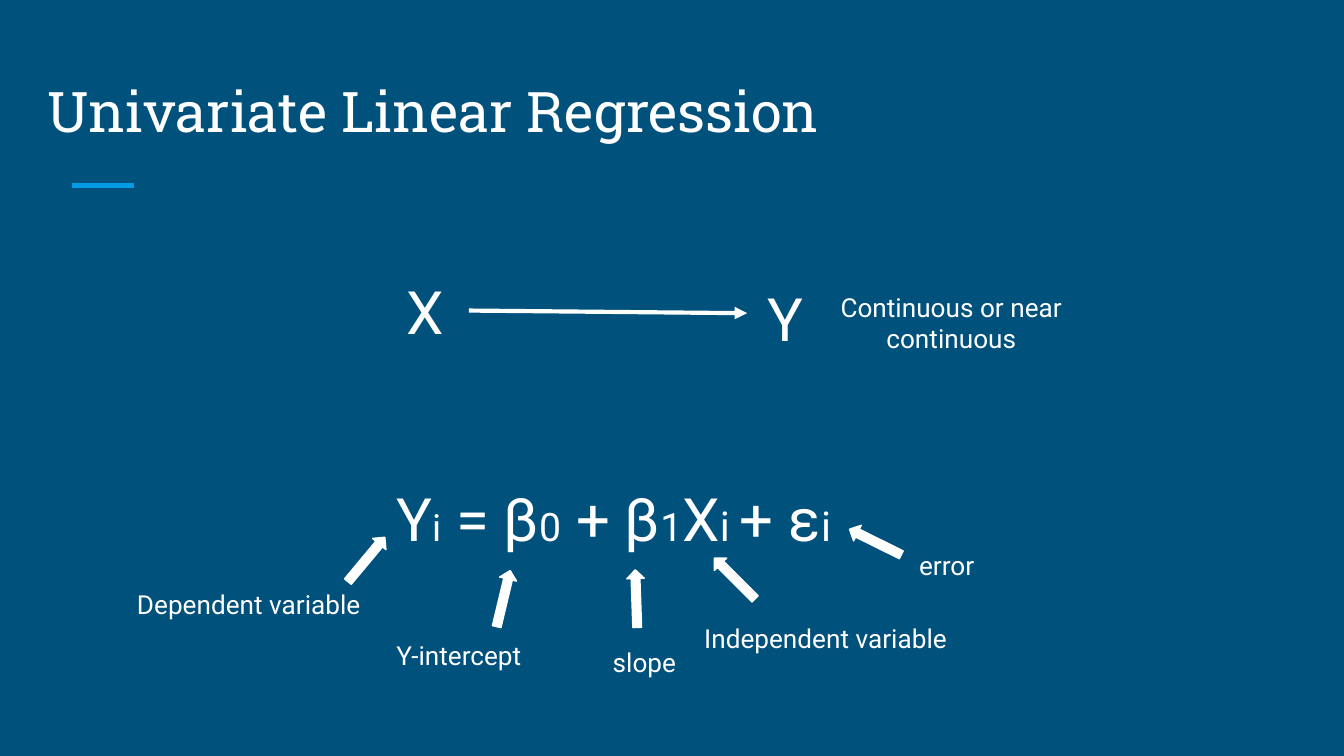
from typing import NamedTuple

from lxml import etree
from pptx import Presentation
from pptx.dml.color import RGBColor
from pptx.enum.shapes import MSO_CONNECTOR, MSO_SHAPE
from pptx.enum.text import MSO_ANCHOR, MSO_AUTO_SIZE, PP_ALIGN
from pptx.oxml.ns import qn
from pptx.util import Cm, Pt

NAVY = RGBColor(0x00, 0x51, 0x7C)
SKY = RGBColor(0x03, 0x9B, 0xE5)
WHITE = RGBColor(0xFF, 0xFF, 0xFF)
BODY_FONT = "Roboto"
TITLE_FONT = "Roboto Slab"
STRAIGHT = MSO_CONNECTOR.STRAIGHT
RIGHT_ARROW = MSO_SHAPE.RIGHT_ARROW
LEFT = PP_ALIGN.LEFT
CENTER = PP_ALIGN.CENTER
BOTTOM = MSO_ANCHOR.BOTTOM
NO_AUTOFIT = MSO_AUTO_SIZE.NONE
FIT_SHAPE = MSO_AUTO_SIZE.SHAPE_TO_FIT_TEXT

PADDING = 0.25
LARGE, SMALL = 32, 14


class Area(NamedTuple):
    """Position and size in centimetres."""
    left: float
    top: float
    width: float
    height: float


class Term(NamedTuple):
    """One explained term: its label and the arrow to the equation."""
    label: str
    label_left: float
    label_top: float
    arrow_left: float
    arrow_top: float
    angle: float


EQUATION = [("Y", LARGE), ("i", 20), (" = β", LARGE), ("0", 21), (" + β", LARGE),
            ("1", 21), ("X", LARGE), ("i ", 22), ("+ ε", LARGE), ("i", 22)]

TERMS = [
    Term("Dependent variable", 2.34, 10.87, 6.38, 10.41, 309.8),
    Term("Y-intercept", 7.24, 11.84, 8.97, 11.15, 283.5),
    Term("slope", 11.33, 11.96, 11.48, 11.15, 268),
    Term("Independent variable", 13.06, 11.51, 13.34, 10.77, 225),
    Term("error", 17.12, 10.13, 16, 10.08, 206.3),
]


def set_padding(frame) -> None:
    frame.margin_left = frame.margin_right = Cm(PADDING)
    frame.margin_top = frame.margin_bottom = Cm(PADDING)


def add_text(shapes, area: Area, spans: list[tuple[str, float]], align=LEFT) -> None:
    box = shapes.add_textbox(*map(Cm, area))
    frame = box.text_frame
    frame.word_wrap = True
    frame.auto_size = FIT_SHAPE
    set_padding(frame)
    para = frame.paragraphs[0]
    para.alignment = align
    para.font.name = BODY_FONT
    para.font.color.rgb = WHITE
    for text, size in spans:
        span = para.add_run()
        span.text = text
        span.font.size = Pt(size)


def add_line(shapes, start: tuple[float, float], end: tuple[float, float],
             color: RGBColor, width: float, arrow: bool = False) -> None:
    line = shapes.add_connector(STRAIGHT, *map(Cm, start + end))
    line.line.color.rgb = color
    line.line.width = Pt(width)
    if arrow:
        outline = line.line._get_or_add_ln()
        etree.SubElement(outline, qn("a:tailEnd"), type="triangle")
    etree.SubElement(line._element.spPr, qn("a:effectLst"))


def add_term(shapes, term: Term) -> None:
    add_text(shapes, Area(term.label_left, term.label_top, 7.39, 1.12),
             [(term.label, SMALL)])
    arrow = shapes.add_shape(RIGHT_ARROW, Cm(term.arrow_left), Cm(term.arrow_top),
                             Cm(1.09), Cm(0.33))
    arrow.rotation = term.angle
    arrow.shadow.inherit = False
    arrow.fill.solid()
    arrow.fill.fore_color.rgb = WHITE
    arrow.line.color.rgb = WHITE
    arrow.line.width = Pt(0.75)


def add_title(page, text: str) -> None:
    title = page.shapes.title
    title.left, title.top, title.width, title.height = map(
        Cm, Area(0.64, 1.07, 23.24, 1.9))
    frame = title.text_frame
    frame.text = text
    frame.auto_size = NO_AUTOFIT
    frame.vertical_anchor = BOTTOM
    set_padding(frame)
    para = frame.paragraphs[0]
    para.alignment = LEFT
    para.font.name = TITLE_FONT
    para.font.size = Pt(30)
    para.font.color.rgb = WHITE


def main() -> None:
    deck = Presentation()
    deck.slide_width, deck.slide_height = Cm(25.4), Cm(14.29)
    page = deck.slides.add_slide(deck.slide_layouts[5])
    page.background.fill.solid()
    page.background.fill.fore_color.rgb = NAVY

    # Title with accent line
    add_title(page, "Univariate Linear Regression")
    add_line(page.shapes, (1.37, 3.51), (2.54, 3.51), SKY, 3)

    # Equation and its explained terms
    equation = page.shapes.add_group_shape().shapes
    add_text(equation, Area(7.24, 8.86, 11.46, 1.88), EQUATION)
    for term in TERMS:
        add_term(equation, term)

    # X leads to Y
    relation = page.shapes.add_group_shape().shapes
    add_text(relation, Area(7.44, 4.95, 10.74, 1.88), [("X", LARGE)])
    add_line(relation, (8.86, 5.87), (14.12, 5.92), WHITE, 2.25, arrow=True)
    add_text(relation, Area(14.25, 5.08, 2.13, 1.88), [("Y", LARGE)])

    # Note on Y
    add_text(page.shapes, Area(15.39, 5.26, 5.18, 1.7),
             [("Continuous or near continuous", SMALL)], CENTER)

    deck.save("out.pptx")


if __name__ == "__main__":
    main()
